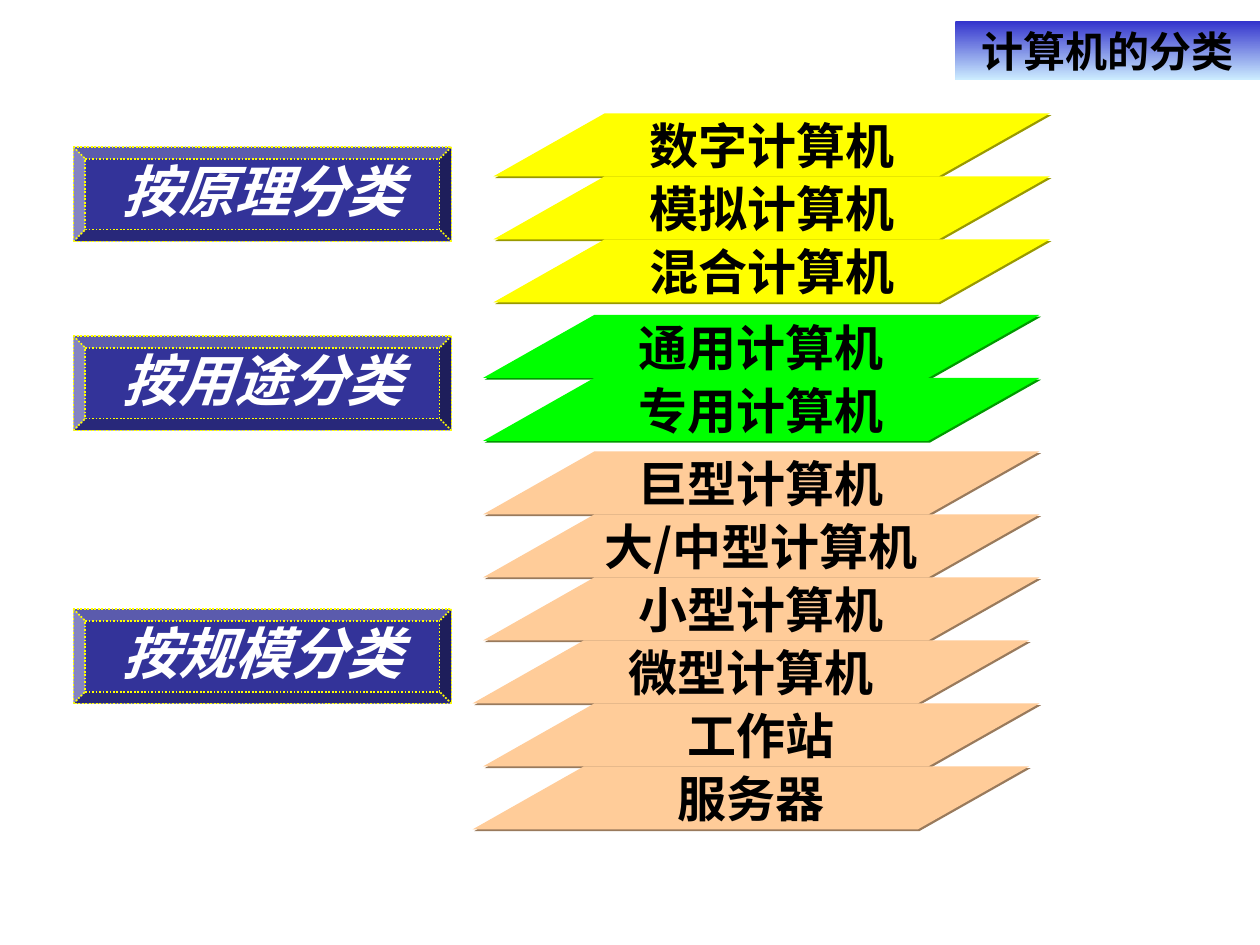
from pptx import Presentation
from pptx.dml.color import RGBColor
from pptx.enum.dml import MSO_LINE
from pptx.enum.shapes import MSO_SHAPE
from pptx.enum.text import MSO_ANCHOR, PP_ALIGN
from pptx.oxml.xmlchemy import OxmlElement
from pptx.util import Inches, Pt

FONT = "Noto Sans CJK SC"
UNIT = Inches(1) / 12  # the slide is a grid of 120 columns by 90 rows
BAND_WIDTH, BAND_HEIGHT = 53, 6
LABEL_COLUMN, LABEL_WIDTH, LABEL_HEIGHT = 7, 36, 9

TITLE_FORMAT = {"size": Pt(24), "bold": True}
BAND_FORMAT = {"size": Pt(28), "bold": True}
LABEL_FORMAT = {"size": Pt(32), "bold": True, "italic": True}

# label, label row, band colour, first band row, (band text, band column)
CATEGORIES = [
    ("按原理分类", 14, "FFFF00", 10.8,
     [("数字计算机", 47), ("模拟计算机", 47), ("混合计算机", 47)]),
    ("按用途分类", 32, "00FF00", 30,
     [("通用计算机", 46), ("专用计算机", 46)]),
    ("按规模分类", 58, "FFCC99", 43,
     [("巨型计算机", 46), ("大/中型计算机", 46), ("小型计算机", 46),
      ("微型计算机", 45), ("工作站", 46), ("服务器", 45)]),
]


def color(hex_value):
    return RGBColor.from_string(hex_value)


def add_block(slide, preset, column, row, width, height):
    """Add a preset shape placed in grid units, without outline or shadow."""
    block = slide.shapes.add_shape(
        preset, *(round(n * UNIT) for n in (column, row, width, height)))
    block.shadow.inherit = False
    block.line.fill.background()
    return block


def write(block, text, text_color, text_format, wrap=False):
    frame = block.text_frame
    frame.word_wrap = wrap
    frame.vertical_anchor = MSO_ANCHOR.MIDDLE
    paragraph = frame.paragraphs[0]
    paragraph.alignment = PP_ALIGN.CENTER
    run = paragraph.add_run()
    run.text = text
    run.font.name = FONT
    run.font.color.rgb = color(text_color)
    for name, value in text_format.items():
        setattr(run.font, name, value)
    east_asian = OxmlElement("a:ea")
    east_asian.set("typeface", FONT)
    run.font._element.append(east_asian)
    return paragraph


def add_hard_shadow(block, fill):
    """Cast an unblurred shadow in a darker tone of the fill."""
    darker = RGBColor(*(round(0.6 * channel) for channel in color(fill)))
    shadow = OxmlElement("a:outerShdw")
    for name, value in {"dist": Pt(1.4), "dir": 45 * 60000, "algn": "ctr",
                        "rotWithShape": 0}.items():
        shadow.set(name, str(value))
    tone = OxmlElement("a:srgbClr")
    tone.set("val", str(darker))
    shadow.append(tone)
    block._element.spPr.find("{*}effectLst").append(shadow)


def add_band(slide, text, column, row, fill):
    band = add_block(slide, MSO_SHAPE.FLOWCHART_DATA,
                     column, row, BAND_WIDTH, BAND_HEIGHT)
    band.fill.solid()
    band.fill.fore_color.rgb = color(fill)
    add_hard_shadow(band, fill)
    write(band, text, "000000", BAND_FORMAT)


def add_label(slide, text, row):
    label = add_block(slide, MSO_SHAPE.BEVEL,
                      LABEL_COLUMN, row, LABEL_WIDTH, LABEL_HEIGHT)
    label.fill.solid()
    label.fill.fore_color.rgb = color("333399")
    label.line.color.rgb = color("FFFF00")
    label.line.width = Pt(1)
    label.line.dash_style = MSO_LINE.ROUND_DOT
    write(label, text, "FFFFFF", LABEL_FORMAT).line_spacing = 0.9


def add_title(slide, text):
    title = add_block(slide, MSO_SHAPE.RECTANGLE, 91, 2, 29, 5.6)
    title.fill.gradient()
    title.fill.gradient_angle = 270
    for stop, shade in zip(title.fill.gradient_stops, ("3333CC", "CCECFF")):
        stop.color.rgb = color(shade)
    write(title, text, "000000", TITLE_FORMAT, wrap=True)


def main():
    presentation = Presentation()
    presentation.slide_width = Inches(10)
    presentation.slide_height = Inches(7.5)
    slide = presentation.slides.add_slide(presentation.slide_layouts[6])
    for label, label_row, fill, first_row, bands in CATEGORIES:
        for index, (text, column) in enumerate(bands):
            add_band(slide, text, column, first_row + index * BAND_HEIGHT, fill)
        add_label(slide, label, label_row)
    add_title(slide, "计算机的分类")
    presentation.save("out.pptx")


if __name__ == "__main__":
    main()
